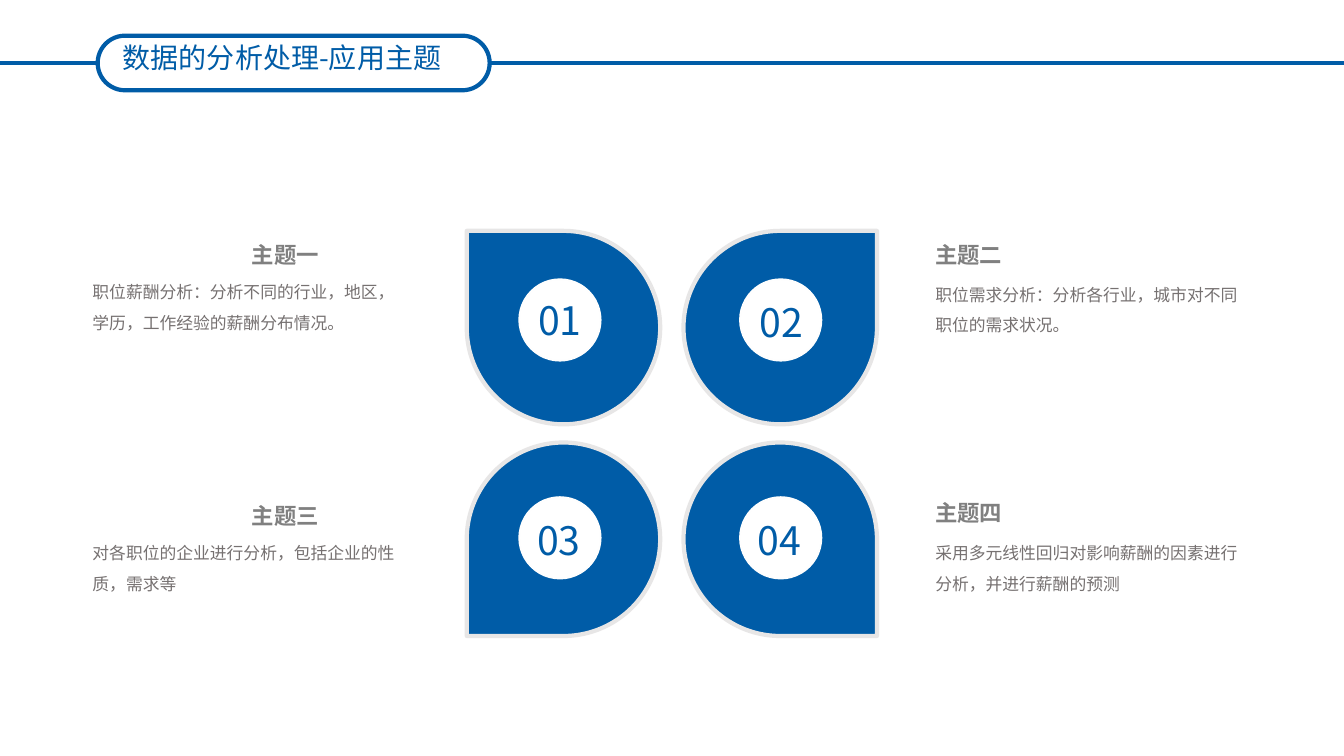
from lxml import etree
from pptx import Presentation
from pptx.dml.color import RGBColor
from pptx.enum import shapes, text
from pptx.oxml import ns
from pptx.util import Pt

BLUE = RGBColor(0x00, 0x5C, 0xA7)
WHITE = RGBColor(0xFF, 0xFF, 0xFF)
OFF_WHITE = RGBColor(0xFE, 0xFE, 0xFE)
PALE_GREY = RGBColor(0xE7, 0xE6, 0xE6)
HEADING_GREY = RGBColor(0x80, 0x80, 0x80)
BODY_GREY = RGBColor(0x76, 0x71, 0x71)
FONT = "Noto Sans CJK SC"

prs = Presentation()
prs.slide_width, prs.slide_height = Pt(960), Pt(540)
s = prs.slides.add_slide(prs.slide_layouts[6])


def add_text(words, left, top, width, height, size, color, bold=False, wrap=False):
    tf = s.shapes.add_textbox(Pt(left), Pt(top), Pt(width), Pt(height)).text_frame
    tf.word_wrap = wrap
    p = tf.paragraphs[0]
    p.text = words
    p.font.name, p.font.size, p.font.bold = FONT, Pt(size), bold
    p.font.color.rgb = color
    # East Asian typeface, next to the Latin one
    latin = p._p.pPr.find(ns.qn("a:defRPr")).find(ns.qn("a:latin"))
    ea = etree.Element(ns.qn("a:ea"), typeface=FONT)
    latin.addnext(ea)
    return p


def add_shape(kind, left, top, width, height, fill, line, weight):
    sp = s.shapes.add_shape(kind, Pt(left), Pt(top), Pt(width), Pt(height))
    sp.shadow.inherit = False
    sp.fill.solid()
    sp.fill.fore_color.rgb = fill
    sp.line.color.rgb = line
    sp.line.width = Pt(weight)
    return sp


# Four topics: number, its position, heading, heading top, body, body top
TOPICS = [
    ("01", 377.3, 208.1, "主题一", 168.5,
     "职位薪酬分析：分析不同的行业，地区，学历，工作经验的薪酬分布情况。", 190.8),
    ("02", 535.7, 209.5, "主题二", 168.5,
     "职位需求分析：分析各行业，城市对不同职位的需求状况。", 192.7),
    ("03", 376.6, 365, "主题三", 355,
     "对各职位的企业进行分析，包括企业的性质，需求等", 377.3),
    ("04", 534.2, 365, "主题四", 352.8,
     "采用多元线性回归对影响薪酬的因素进行分析，并进行薪酬的预测", 377.3),
]
PETAL, CIRCLE = 138.2, 58.3
PETAL_X, PETAL_Y = (333.4, 488.2), (164.9, 316.1)
CIRCLE_X, CIRCLE_Y = (370.8, 528.5), (199.4, 355)
HEADING_X, BODY_X = (172.8, 661), (59, 661)

for i, (number, num_x, num_y, heading, heading_y, body, body_y) in enumerate(TOPICS):
    row, col = divmod(i, 2)

    # Petal pointing to its outer corner
    petal = add_shape(shapes.MSO_SHAPE.TEAR, PETAL_X[col], PETAL_Y[row],
                      PETAL, PETAL, BLUE, PALE_GREY, 3)
    xfrm = petal._element.spPr.find(ns.qn("a:xfrm"))
    if col == 0:
        xfrm.set("flipH", "1")
    if row == 1:
        xfrm.set("flipV", "1")

    # Number in a circle
    add_shape(shapes.MSO_SHAPE.OVAL, CIRCLE_X[col], CIRCLE_Y[row],
              CIRCLE, CIRCLE, WHITE, OFF_WHITE, 1.13)
    add_text(number, num_x, num_y, 48, 41, 28, BLUE)

    # Heading and description
    add_text(heading, HEADING_X[col], heading_y, 63.4, 26.6, 16, HEADING_GREY, bold=True)
    p = add_text(body, BODY_X[col], body_y, 239.8, 48.2, 12, BODY_GREY, wrap=True)
    p.line_spacing = 1.5

# Title pill
pill = add_shape(shapes.MSO_SHAPE.ROUNDED_RECTANGLE, 69.8, 25.5, 280, 39, WHITE, BLUE, 3)
pill.adjustments[0] = 0.5
p = add_text("数据的分析处理-应用主题", 60.5, 25.5, 282, 36, 20, BLUE, wrap=True)
p.alignment = text.PP_ALIGN.CENTER

# Rules from the pill to the slide edges
for edge, side in ((0, 1), (960, 3)):
    rule = s.shapes.add_connector(shapes.MSO_CONNECTOR.STRAIGHT,
                                  Pt(edge), Pt(45), Pt(edge), Pt(45))
    rule.end_connect(pill, side)
    rule.line.color.rgb = BLUE
    rule.line.width = Pt(3)
    etree.SubElement(rule._element.spPr, ns.qn("a:effectLst"))

prs.save("out.pptx")
